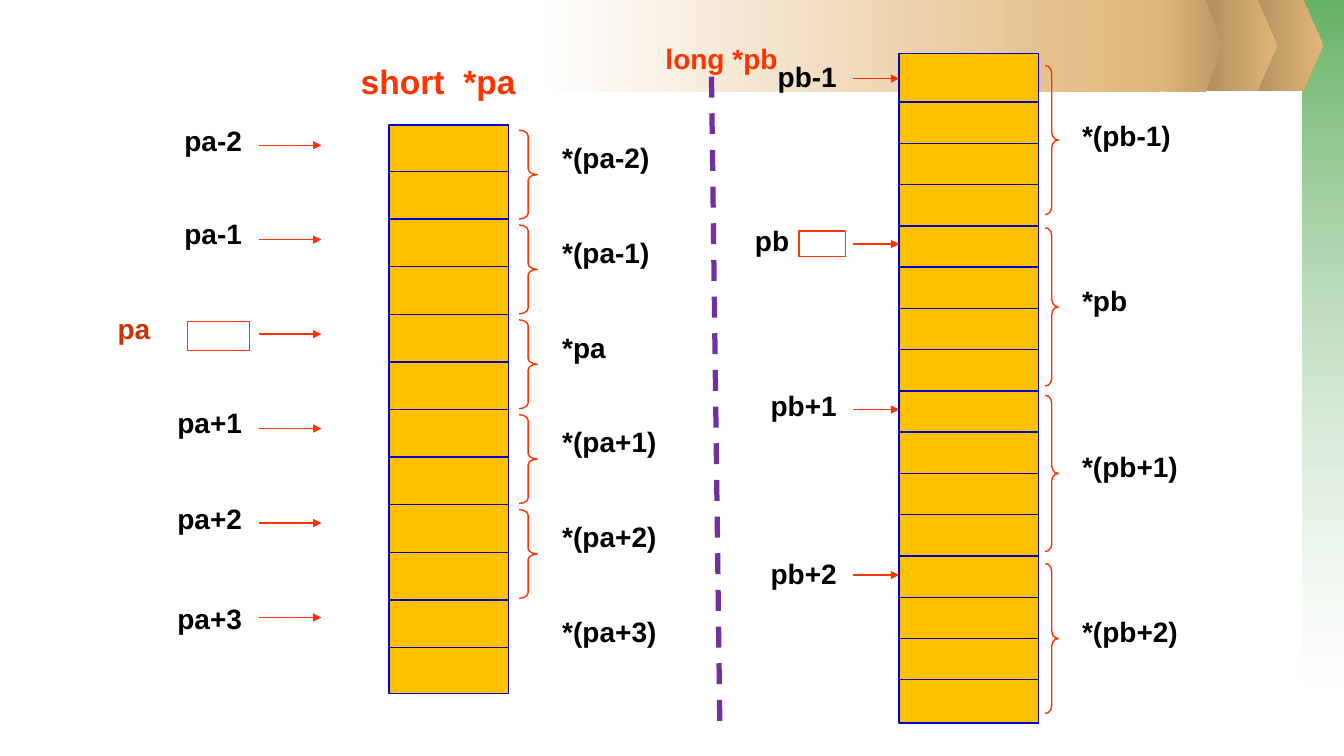
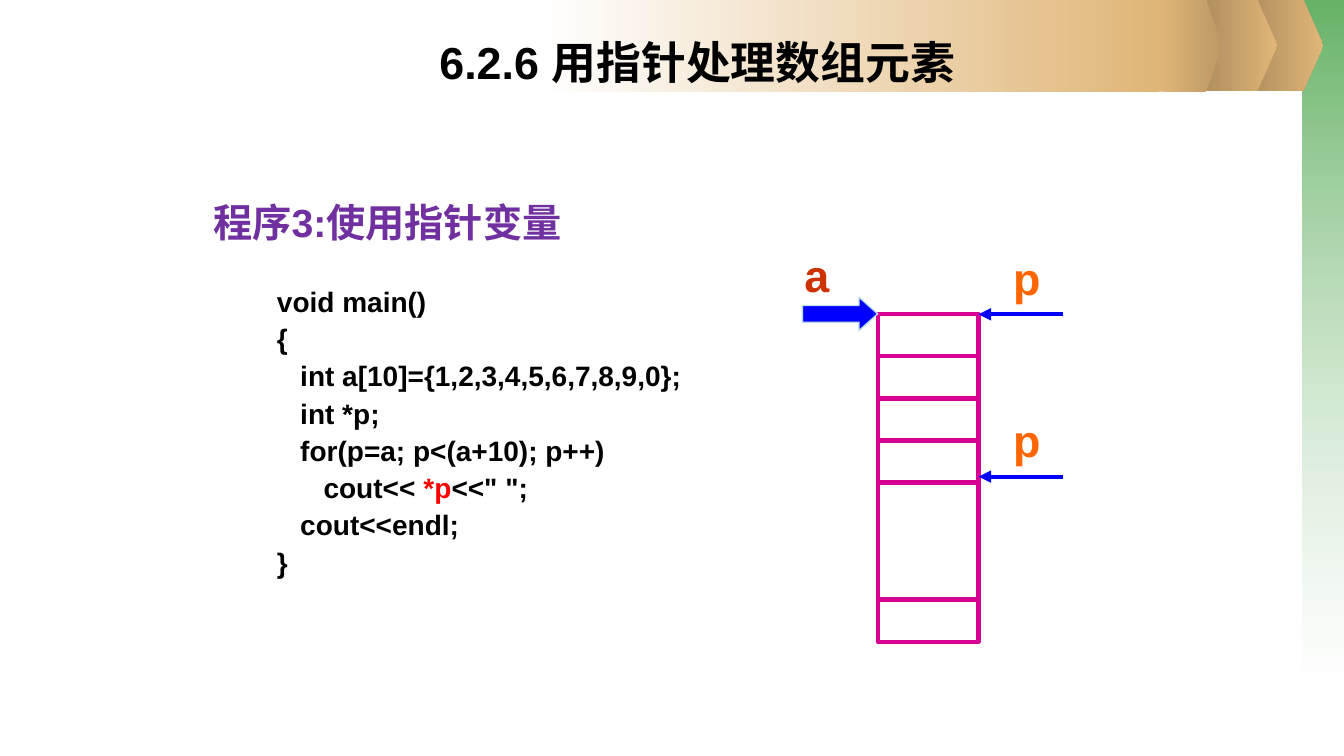
from dataclasses import dataclass

from lxml import etree
from pptx import Presentation
from pptx.dml.color import RGBColor
from pptx.enum.dml import MSO_LINE
from pptx.enum.shapes import MSO_CONNECTOR, MSO_SHAPE
from pptx.enum.text import MSO_ANCHOR, PP_ALIGN
from pptx.oxml.ns import qn
from pptx.util import Cm, Pt

RECT = MSO_SHAPE.RECTANGLE
PLATE = MSO_SHAPE.PENTAGON
BRACE = MSO_SHAPE.RIGHT_BRACE
BLOCK_ARROW = MSO_SHAPE.RIGHT_ARROW
STRAIGHT = MSO_CONNECTOR.STRAIGHT
DASH = MSO_LINE.DASH
LEFT, CENTER, RIGHT = PP_ALIGN.LEFT, PP_ALIGN.CENTER, PP_ALIGN.RIGHT
TOP, MIDDLE, BOTTOM = MSO_ANCHOR.TOP, MSO_ANCHOR.MIDDLE, MSO_ANCHOR.BOTTOM


@dataclass(frozen=True)
class Theme:
    font: str = "Arial"
    text: str = "000000"
    accent: str = "FF3300"
    name: str = "CC3300"
    pointer: str = "FF6600"
    highlight: str = "FF0000"
    purple: str = "7030A0"
    cell: str = "FFC000"
    cell_line: str = "0000CC"
    array_line: str = "D60093"
    arrow: str = "0000FF"
    arrow_edge: str = "BBE0E3"
    green: str = "339933"
    white: str = "FFFFFF"
    gold: str = "E0B678"
    bronze: str = "AB8B5C"
    tan: str = "BD9965"
    body: int = 20
    heading: int = 24
    subtitle: int = 28
    title: int = 32


T = Theme()


@dataclass(frozen=True)
class Panel:
    title: str
    title_box: tuple
    title_size: int
    title_align: int
    cells: tuple
    first_row: float
    pitch: float
    rows: int
    names: tuple
    name_right: float
    current: tuple
    arrow_x: tuple
    arrow_y: float
    step: float
    braces: tuple
    brace_x: float
    brace_w: float
    brace_adj: float
    values: tuple
    value_x: float
    value_y: float
    value_step: float


SHORT_PANEL = Panel(
    title="short  *pa", title_box=(6.84, 0, 4.42, 1.27),
    title_size=T.heading, title_align=LEFT,
    cells=(7.8, 1.75, 3.02, 14.33), first_row=1.17, pitch=1.2, rows=12,
    names=(("pa-2", 1.57), ("pa-1", 3.93), ("pa+1", 8.68),
           ("pa+2", 11.1), ("pa+3", 13.61)),
    name_right=4.35,
    current=("pa", T.name, 2.04, 6.32, (2.72, 6.7, 1.57, 0.74)),
    arrow_x=(4.53, 6.1), arrow_y=2.26, step=2.38,
    braces=tuple((1.88 + 2.39 * i, 2.24) for i in range(5)),
    brace_x=11.08, brace_w=0.46, brace_adj=0.31,
    values=("*(pa-2)", "*(pa-1)", "*pa", "*(pa+1)", "*(pa+2)", "*(pa+3)"),
    value_x=11.92, value_y=2, value_step=2.39)

LONG_PANEL = Panel(
    title="long *pb", title_box=(0.03, 0, 3.71, 1.12),
    title_size=T.body, title_align=CENTER,
    cells=(6.36, 0.45, 3.52, 16.87), first_row=1.22, pitch=1.04, rows=16,
    names=(("pb-1", 0.47), ("pb+1", 8.75), ("pb+2", 12.99)),
    name_right=5.04,
    current=("pb", T.text, 3.84, 4.59, (3.84, 4.92, 1.17, 0.64)),
    arrow_x=(5.19, 6.36), arrow_y=1.08, step=4.17,
    braces=((0.75, 3.76), (4.84, 3.99), (9.06, 3.94), (13.3, 3.78)),
    brace_x=10.04, brace_w=0.33, brace_adj=0.59,
    values=("*(pb-1)", "*pb", "*(pb+1)", "*(pb+2)"),
    value_x=10.72, value_y=1.94, value_step=4.17)

CODE = (
    "void main()",
    "{",
    "   int a[10]={1,2,3,4,5,6,7,8,9,0};",
    "   int *p;",
    "   for(p=a; p<(a+10); p++)",
    ("      cout<< ", "*p", '<<" ";'),
    "   cout<<endl;",
    "}",
)


def set_attrs(target, values):
    for key, value in values.items():
        setattr(target, key, value)


def rgb(color):
    return RGBColor.from_string(color)


def place(box, x, y, w, h):
    return box[0] + x, box[1] + y, w, h


def add_run(p, text, size, color):
    r = p.add_run()
    r.text = text
    set_attrs(r.font, {"name": T.font, "size": Pt(size), "bold": True})
    r.font.color.rgb = rgb(color)


def text_frame(s, box, anchor, wrap):
    tf = s.shapes.add_textbox(*map(Cm, box)).text_frame
    set_attrs(tf, {"word_wrap": wrap, "vertical_anchor": anchor})
    return tf


def label(s, box, text, size=T.body, color=T.text, align=LEFT,
          anchor=MIDDLE, wrap=True):
    p = text_frame(s, box, anchor, wrap).paragraphs[0]
    p.alignment = align
    add_run(p, text, size, color)


def shape(s, kind, box, fill=None, line=None, width=1, adjust=()):
    sp = s.shapes.add_shape(kind, *map(Cm, box))
    sp.shadow.inherit = False
    for i, value in enumerate(adjust):
        sp.adjustments[i] = value
    if fill:
        sp.fill.solid()
        sp.fill.fore_color.rgb = rgb(fill)
    else:
        sp.fill.background()
    if line:
        sp.line.color.rgb = rgb(line)
        sp.line.width = Pt(width)
    else:
        sp.line.fill.background()
    return sp


def gradient(s, kind, box, stops, angle=0, alphas=(), adjust=()):
    sp = shape(s, kind, box, adjust=adjust)
    sp.fill.gradient()
    sp.fill.gradient_angle = angle
    for stop, color in zip(sp.fill.gradient_stops, stops):
        stop.color.rgb = rgb(color)
    colors = sp._element.spPr.iter(qn("a:srgbClr"))
    for node, alpha in zip(colors, alphas):
        etree.SubElement(node, qn("a:alpha")).set("val", str(alpha * 1000))


def line(s, start, end, color, width=1, arrow=False, dash=None):
    cn = s.shapes.add_connector(STRAIGHT, *map(Cm, start + end))
    cn.line.color.rgb = rgb(color)
    set_attrs(cn.line, {"width": Pt(width), "dash_style": dash})
    if arrow:
        ln = cn.line._get_or_add_ln()
        etree.SubElement(ln, qn("a:tailEnd")).set("type", "triangle")
    etree.SubElement(cn._element.spPr, qn("a:effectLst"))


def decorated_slide(prs):
    s = prs.slides.add_slide(prs.slide_layouts[6])
    gradient(s, RECT, (32.82, 0, 1.04, 17.2), (T.green, T.white), 270,
             (75, 37))
    for x in (31.34, 30.18):
        gradient(s, PLATE, (x, 0, 2.01, 2.29), (T.bronze, T.gold),
                 adjust=(0.25,))
    gradient(s, RECT, (13.61, 0, 15.6, 2.31), (T.white, T.gold))
    gradient(s, PLATE, (29.21, 0, 1.57, 2.31), (T.gold, T.tan),
             adjust=(0.25,))
    return s


def memory_cells(s, box, first_row, pitch, rows):
    x, y, w, _ = box
    shape(s, RECT, box, T.cell, T.cell_line)
    for i in range(rows - 1):
        row_y = y + first_row + pitch * i
        line(s, (x, row_y), (x + w, row_y), T.cell_line)


def pointer_panel(s, box, panel):
    x, y = box
    label(s, place(box, *panel.title_box), panel.title, panel.title_size,
          T.accent, panel.title_align, wrap=False)
    memory_cells(s, place(box, *panel.cells), panel.first_row, panel.pitch,
                 panel.rows)
    for brace_y, brace_h in panel.braces:
        shape(s, BRACE, place(box, panel.brace_x, brace_y, panel.brace_w,
                              brace_h),
              line=T.accent, adjust=(panel.brace_adj, 0.5))
    name_w, label_h = 3.2, 1.12
    for name, name_y in panel.names:
        label(s, place(box, panel.name_right - name_w, name_y, name_w,
                       label_h), name, align=RIGHT)
    name, color, right, name_y, value_box = panel.current
    label(s, place(box, right - name_w, name_y, name_w, label_h), name,
          color=color, align=RIGHT)
    shape(s, RECT, place(box, *value_box), line=T.accent)
    start, end = panel.arrow_x
    for i, value in enumerate(panel.values):
        arrow_y = y + panel.arrow_y + panel.step * i
        line(s, (x + start, arrow_y), (x + end, arrow_y), T.accent,
             arrow=True)
        label(s, place(box, panel.value_x,
                       panel.value_y + panel.value_step * i, 4.5, label_h),
              value)


def code_block(s, box):
    tf = text_frame(s, box, TOP, True)
    for i, parts in enumerate(CODE):
        p = tf.add_paragraph() if i else tf.paragraphs[0]
        set_attrs(p, {"line_spacing": 0.9, "space_before": Pt(5 if i else 0)})
        if isinstance(parts, str):
            parts = (parts,)
        for part in parts:
            color = T.highlight if part == "*p" else T.text
            add_run(p, part, T.body, color)


def array_diagram(s, box):
    x, y = box
    cell_x, cell_y, cell_w, cell_h = 2.1, 1.82, 2.54, 1.06
    last_y = 9.01
    for row_y in [cell_y + cell_h * i for i in range(4)] + [last_y]:
        shape(s, RECT, place(box, cell_x, row_y, cell_w, cell_h),
              line=T.array_line, width=3)
    for rail_x in (x + cell_x, x + cell_x + cell_w):
        line(s, (rail_x, y + cell_y + 4 * cell_h), (rail_x, y + last_y),
             T.array_line, 3)
    shape(s, BLOCK_ARROW, place(box, 0.2, 1.39, 1.9, 0.84), T.arrow,
          T.arrow_edge, adjust=(0.5, 0.56))
    label(s, place(box, 0, 0, 1.14, 1.63), "a", T.title, T.name, wrap=False)
    tip = cell_x + cell_w
    for tip_y in (cell_y, 5.91):
        line(s, (x + tip + 2.14, y + tip_y), (x + tip, y + tip_y), T.arrow,
             3, arrow=True)
        label(s, place(box, tip + 0.62, tip_y - 1.75, 1.19, 1.63), "p",
              T.title, T.pointer, wrap=False)


def pointer_slide(prs):
    s = decorated_slide(prs)
    pointer_panel(s, (2, 1.4), SHORT_PANEL)
    pointer_panel(s, (16.3, 0.9), LONG_PANEL)
    line(s, (17.93, 1.93), (18.14, 18.21), T.purple, 3.75, dash=DASH)


def program_slide(prs):
    s = decorated_slide(prs)
    code_block(s, (6.73, 7.14, 13.2, 9))
    label(s, (5.13, 4.95, 19.89, 1.35), "程序3:使用指针变量", T.subtitle,
          T.purple, anchor=BOTTOM)
    array_diagram(s, (20.02, 6.1))
    label(s, (5.51, 0.76, 24.13, 3.18), "6.2.6 用指针处理数组元素", T.title,
          align=CENTER, anchor=TOP)


def main():
    prs = Presentation()
    set_attrs(prs, {"slide_width": Cm(33.87), "slide_height": Cm(19.05)})
    pointer_slide(prs)
    program_slide(prs)
    prs.save("out.pptx")


if __name__ == "__main__":
    main()
